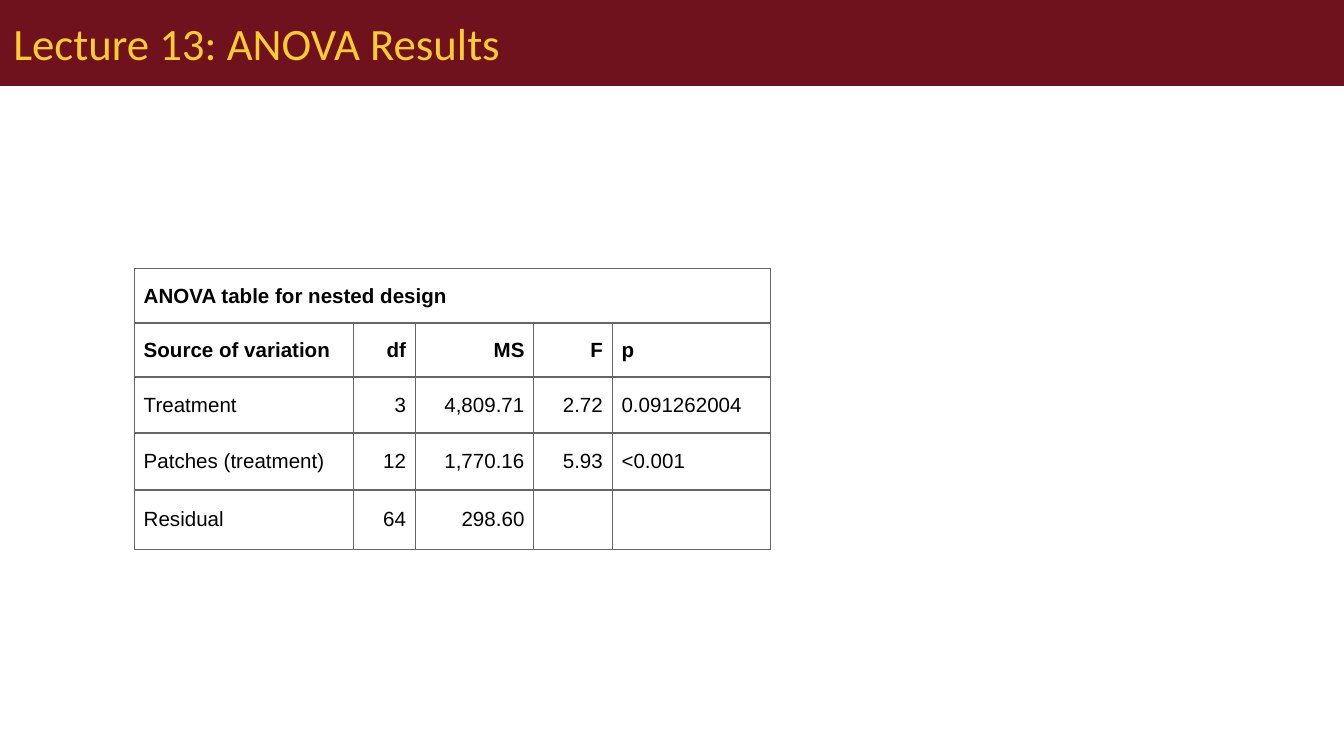
from dataclasses import dataclass

from lxml.etree import SubElement
from pptx import Presentation
from pptx.dml.color import RGBColor as RGB
from pptx.enum.text import MSO_ANCHOR as Anchor, MSO_AUTO_SIZE as Fit, PP_ALIGN as Align
from pptx.oxml.ns import qn
from pptx.util import Pt


@dataclass(frozen=True)
class Theme:
    band: str = "70121D"
    gold: str = "FDCC31"
    ink: str = "000000"
    rule: str = "666666"
    head: float = 24
    body: float = 11
    gap: float = 5
    line: float = 0.75


def apply(item, vals):
    for name, val in vals.items():
        setattr(item, name, val)


class Page:
    def __init__(self, deck, theme):
        self.theme = theme
        self.slide = deck.slides.add_slide(deck.slide_layouts[5])

    def label(self, para, text, face, size, color, bold=False):
        run = para.add_run()
        run.text = text
        apply(run.font, {"name": face, "size": Pt(size), "bold": bold})
        run.font.color.rgb = RGB.from_string(color)

    def title(self, text, width, height):
        look = self.theme
        box = self.slide.shapes.title
        apply(box, {"left": 0, "top": 0, "width": Pt(width), "height": Pt(height)})
        box.fill.solid()
        box.fill.fore_color.rgb = RGB.from_string(look.band)
        apply(box.text_frame, {"vertical_anchor": Anchor.MIDDLE,
                               "auto_size": Fit.NONE, "word_wrap": True})
        para = box.text_frame.paragraphs[0]
        para.alignment = Align.LEFT
        self.label(para, text, "Calibri", look.head, look.gold)

    def border(self, cell):
        props = cell._tc.get_or_add_tcPr()
        for side in ("lnL", "lnR", "lnT", "lnB"):
            line = SubElement(props, qn(f"a:{side}"), w=str(Pt(self.theme.line)))
            fill = SubElement(line, qn("a:solidFill"))
            SubElement(fill, qn("a:srgbClr"), val=self.theme.rule)

    def cell(self, cell, text, align, bold):
        look = self.theme
        gap = Pt(look.gap)
        self.border(cell)
        cell.fill.background()
        apply(cell, {"vertical_anchor": Anchor.MIDDLE, "margin_left": 0,
                     "margin_top": gap, "margin_right": gap, "margin_bottom": gap})
        if not text:
            return
        para = cell.text_frame.paragraphs[0]
        apply(para, {"alignment": align, "space_after": gap})
        props = para._p.get_or_add_pPr()
        props.set("marL", str(gap))
        props.set("indent", "0")
        self.label(para, text, "Arial", look.body, look.ink, bold)

    def table(self, left, top, cols, rows, data, aligns, heads):
        """Draw a grid whose first row spans all columns; heads counts bold rows."""
        grid = self.slide.shapes.add_table(
            len(rows), len(cols), Pt(left), Pt(top), Pt(sum(cols)), Pt(sum(rows))).table
        apply(grid, {"first_row": False, "horz_banding": False})
        for col, width in zip(grid.columns, cols):
            col.width = Pt(width)
        for row, height in zip(grid.rows, rows):
            row.height = Pt(height)
        grid.cell(0, 0).merge(grid.cell(0, len(cols) - 1))
        for r, line in enumerate(data):
            for c, align in enumerate(aligns):
                text = line[c] if c < len(line) else ""
                self.cell(grid.cell(r, c), text, align, r < heads)


def main():
    deck = Presentation()
    apply(deck, {"slide_width": Pt(720), "slide_height": Pt(405)})
    page = Page(deck, Theme())
    page.title("Lecture 13: ANOVA Results", 720, 46)
    page.table(
        72, 144,
        cols=[117.5, 33, 63.5, 42, 85],
        rows=[29, 29, 30, 30.5, 30.5],
        data=[
            ["ANOVA table for nested design"],
            ["Source of variation", "df", "MS", "F", "p"],
            ["Treatment", "3", "4,809.71", "2.72", "0.091262004"],
            ["Patches (treatment)", "12", "1,770.16", "5.93", "<0.001"],
            ["Residual", "64", "298.60"],
        ],
        aligns=[Align.LEFT, Align.RIGHT, Align.RIGHT, Align.RIGHT, Align.LEFT],
        heads=2)
    deck.save("out.pptx")


if __name__ == "__main__":
    main()
